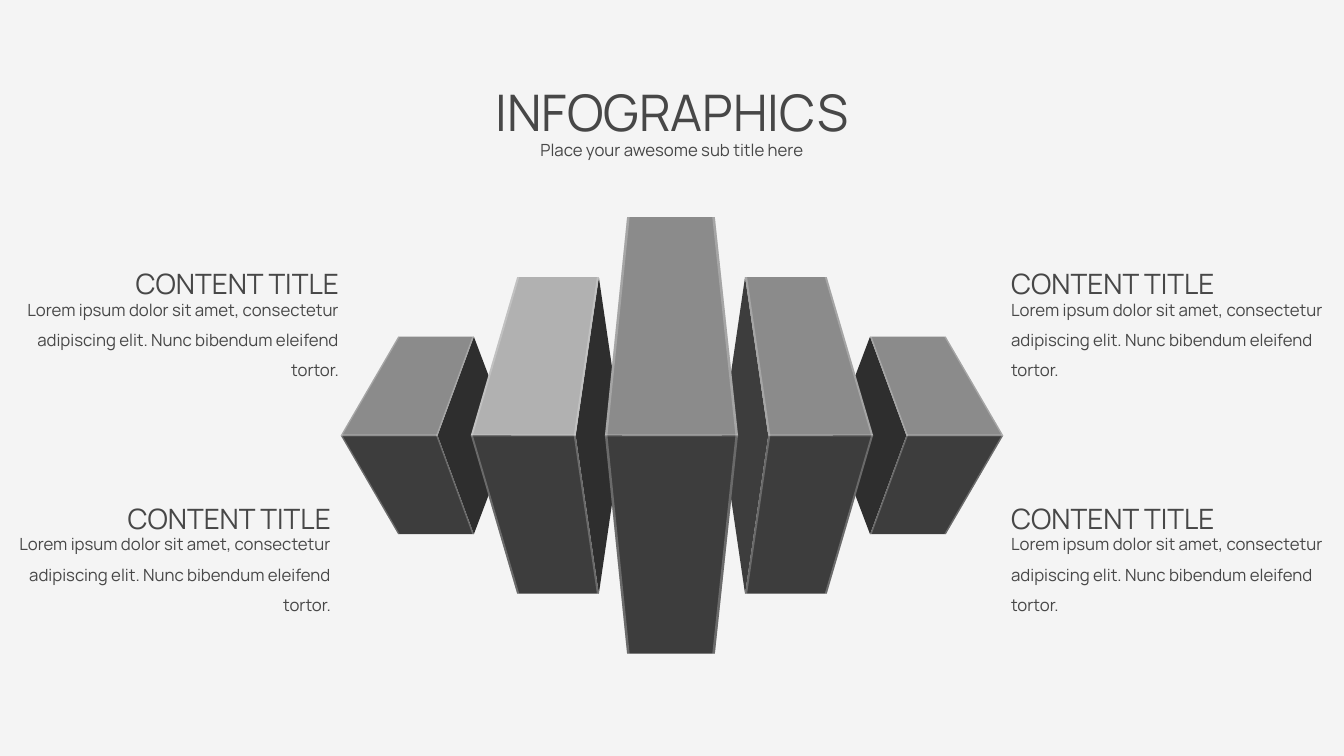
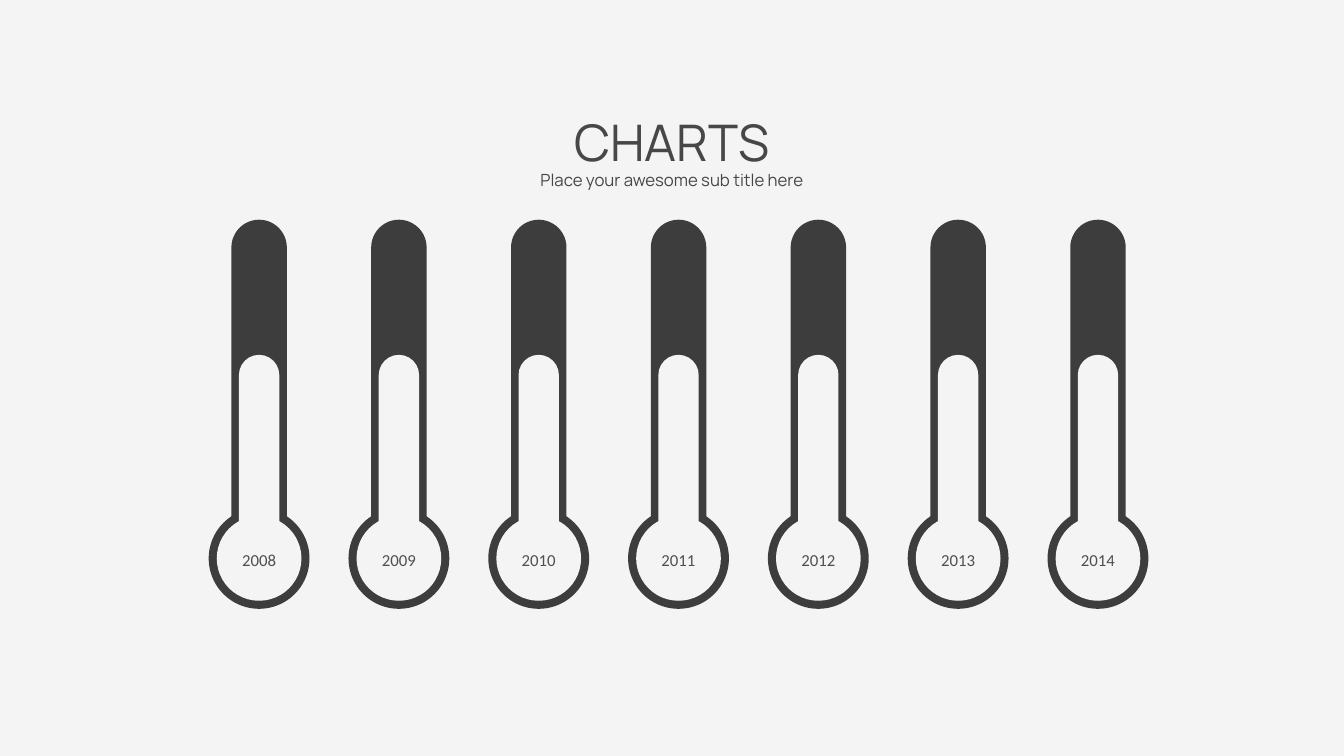
from dataclasses import dataclass, replace
from typing import Optional

from lxml.etree import SubElement
from pptx import Presentation
from pptx.dml.color import RGBColor
from pptx.enum.shapes import MSO_SHAPE
from pptx.enum.text import MSO_AUTO_SIZE, PP_ALIGN
from pptx.oxml.ns import qn
from pptx.shapes.autoshape import Shape
from pptx.slide import Slide
from pptx.util import Inches, Pt

PAPER = "F4F4F4"
INK = "474747"
YEAR_INK = "4F4F52"
DARK = "3D3D3D"
DARKEST = "2E2E2E"
MID_GREY = "8B8B8B"
LIGHT_GREY = "B1B1B1"

SLIDE_WIDTH = 13.33
HORIZON = 4.32
EDGE_OPACITY = 25
SUBTITLE = "Place your awesome sub title here"
BODY = ("Lorem ipsum dolor sit amet, consectetur adipiscing elit. "
        "Nunc bibendum eleifend tortor.")

Point = tuple[float, float]


@dataclass(frozen=True)
class Block:
    """A tall box seen in perspective; all fields but the height run along x."""
    outer: float
    inner: float
    far_outer: float
    far_inner: float
    half_height: float
    edge: float
    side_tip: Optional[float] = None
    lid: str = MID_GREY
    side: str = DARKEST

    def mirrored(self) -> "Block":
        return replace(
            self,
            outer=SLIDE_WIDTH - self.outer,
            inner=SLIDE_WIDTH - self.inner,
            far_outer=SLIDE_WIDTH - self.far_outer,
            far_inner=SLIDE_WIDTH - self.far_inner,
            side_tip=SLIDE_WIDTH - self.side_tip,
            edge=-self.edge,
        )


@dataclass(frozen=True)
class Note:
    left: float
    top: float
    align: PP_ALIGN


OUTER_BLOCK = Block(3.38, 4.34, 3.95, 4.70, 0.98, 0.015, side_tip=5.07)
MIDDLE_BLOCK = Block(4.67, 5.71, 5.13, 5.94, 1.57, 0.02, side_tip=6.17, lid=LIGHT_GREY)
CENTRE_BLOCK = Block(6.00, 7.32, 6.22, 7.09, 2.165, 0.025)
BLOCKS = [
    OUTER_BLOCK,
    MIDDLE_BLOCK,
    OUTER_BLOCK.mirrored(),
    replace(MIDDLE_BLOCK.mirrored(), lid=MID_GREY, side=DARK),
    CENTRE_BLOCK,
]

NOTES = [
    Note(9.93, 4.76, PP_ALIGN.LEFT),
    Note(9.93, 2.43, PP_ALIGN.LEFT),
    Note(0.05, 2.43, PP_ALIGN.RIGHT),
    Note(-0.03, 4.76, PP_ALIGN.RIGHT),
]

YEARS = range(2008, 2015)
FIRST_BULB, LAST_BULB = 2.07, 10.39
BULB_PITCH = (LAST_BULB - FIRST_BULB) / (len(YEARS) - 1)


def rgb(colour: str) -> RGBColor:
    return RGBColor.from_string(colour)


def paint(shape: Shape, colour: str) -> None:
    shape.shadow.inherit = False
    shape.fill.solid()
    shape.fill.fore_color.rgb = rgb(colour)
    shape.line.fill.background()


def add_text(slide: Slide, text: str, left: float, top: float, width: float,
             height: float, size: float, align: PP_ALIGN, spacing: float = 1.5,
             font: str = "Manrope", colour: str = INK) -> None:
    frame = slide.shapes.add_textbox(
        Inches(left), Inches(top), Inches(width), Inches(height)).text_frame
    frame.word_wrap = True
    frame.auto_size = MSO_AUTO_SIZE.SHAPE_TO_FIT_TEXT
    paragraph = frame.paragraphs[0]
    paragraph.text = text
    paragraph.alignment = align
    paragraph.line_spacing = spacing
    paragraph.font.size = Pt(size)
    paragraph.font.name = font
    paragraph.font.color.rgb = rgb(colour)


def add_heading(slide: Slide, title: str, top: float) -> None:
    add_text(slide, SUBTITLE, 0.62, top + 0.78, 12.09, 0.31, 12, PP_ALIGN.CENTER)
    add_text(slide, title, 0.62, top, 12.09, 1.01, 36, PP_ALIGN.CENTER)


def add_polygon(slide: Slide, points: list[Point], colour: str) -> Shape:
    corners = [(Inches(x), Inches(y)) for x, y in points]
    builder = slide.shapes.build_freeform(*corners[0])
    builder.add_line_segments(corners[1:], close=True)
    polygon = builder.convert_to_shape()
    paint(polygon, colour)
    return polygon


def add_highlight(slide: Slide, points: list[Point]) -> None:
    """Draw a see-through light sliver along an edge."""
    sliver = add_polygon(slide, points, PAPER)
    colour = sliver.fill._xPr.find(qn("a:solidFill"))[0]
    SubElement(colour, qn("a:alpha"), val=str(EDGE_OPACITY * 1000))


def add_block(slide: Slide, block: Block) -> None:
    top, bottom = HORIZON - block.half_height, HORIZON + block.half_height
    if block.side_tip is not None:
        add_polygon(slide, [(block.inner, HORIZON), (block.far_inner, top),
                            (block.side_tip, HORIZON), (block.far_inner, bottom)],
                    block.side)
    for far_y, colour in ((top, block.lid), (bottom, DARK)):
        add_polygon(slide, [(block.inner, HORIZON), (block.far_inner, far_y),
                            (block.far_outer, far_y), (block.outer, HORIZON)], colour)
    add_highlight(slide, [(block.outer, HORIZON - 0.01), (block.inner, HORIZON - 0.01),
                          (block.inner, HORIZON + 0.01), (block.outer, HORIZON + 0.01)])
    for near, far, inset in ((block.outer, block.far_outer, block.edge),
                             (block.inner, block.far_inner, -block.edge)):
        add_highlight(slide, [(near, HORIZON), (far, top), (far + inset, top),
                              (near + inset, HORIZON), (far + inset, bottom),
                              (far, bottom)])


def add_note(slide: Slide, note: Note) -> None:
    add_text(slide, BODY, note.left, note.top + 0.39, 3.41, 1.01, 12, note.align)
    add_text(slide, "CONTENT TITLE", note.left, note.top, 3.41, 0.61, 20, note.align)


def add_part(slide: Slide, preset: MSO_SHAPE, left: float, top: float,
             width: float, height: float, colour: str) -> None:
    part = slide.shapes.add_shape(
        preset, Inches(left), Inches(top), Inches(width), Inches(height))
    if preset == MSO_SHAPE.ROUNDED_RECTANGLE:
        part.adjustments[0] = 0.5
    paint(part, colour)


def add_thermometer(slide: Slide, left: float, year: int) -> None:
    add_part(slide, MSO_SHAPE.OVAL, left, 5.04, 1, 1, DARK)
    add_part(slide, MSO_SHAPE.ROUNDED_RECTANGLE, left + 0.225, 2.18, 0.55, 3.54, DARK)
    add_part(slide, MSO_SHAPE.OVAL, left + 0.08, 5.12, 0.84, 0.84, PAPER)
    add_part(slide, MSO_SHAPE.ROUNDED_RECTANGLE, left + 0.3, 3.52, 0.4, 1.85, PAPER)
    add_text(slide, str(year), left + 0.08, 5.4, 0.84, 0.3, 12, PP_ALIGN.CENTER,
             spacing=1.0, font="Calibri", colour=YEAR_INK)


def main() -> None:
    deck = Presentation()
    deck.slide_width, deck.slide_height = Inches(SLIDE_WIDTH), Inches(7.5)
    backdrop = deck.slide_master.background.fill
    backdrop.solid()
    backdrop.fore_color.rgb = rgb(PAPER)
    blank = deck.slide_layouts[6]

    infographics = deck.slides.add_slide(blank)
    add_heading(infographics, "INFOGRAPHICS", 0.46)
    for block in BLOCKS:
        add_block(infographics, block)
    for note in NOTES:
        add_note(infographics, note)

    charts = deck.slides.add_slide(blank)
    add_heading(charts, "CHARTS", 0.75)
    for index, year in enumerate(YEARS):
        add_thermometer(charts, FIRST_BULB + index * BULB_PITCH, year)

    deck.save("out.pptx")


if __name__ == "__main__":
    main()
